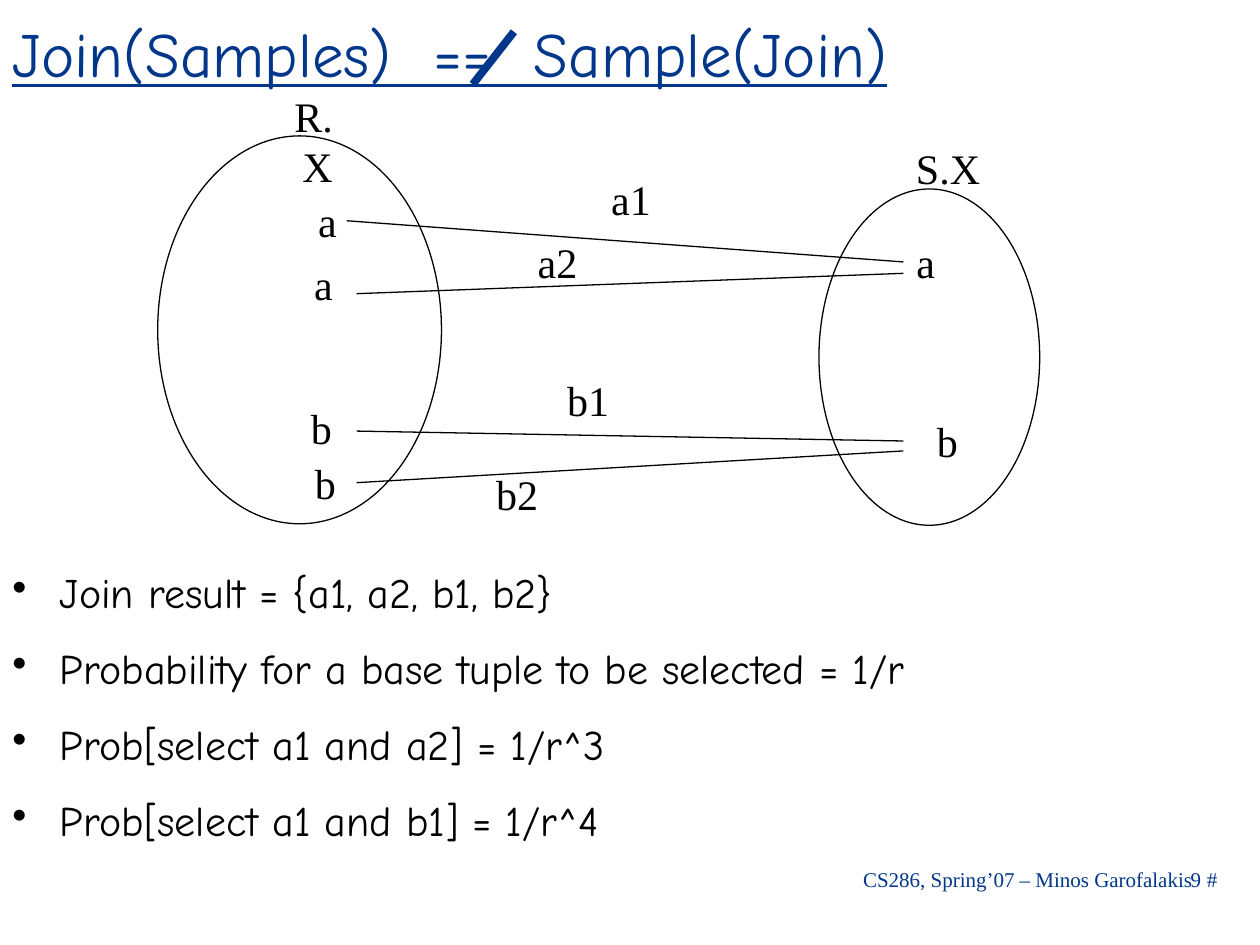
from dataclasses import dataclass

from lxml import etree
from pptx import Presentation
from pptx import util as u
from pptx.dml import color
from pptx.enum import shapes, text
from pptx.oxml import ns

HUES = {"ink": "000000", "navy": "00378A"}
SERIF = "Times New Roman"
COMIC = "Comic Neue"


@dataclass
class Box:
    words: str
    left: float
    top: float
    width: float
    height: float = 1.27
    font: str = SERIF
    size: int = 24
    hue: str = "ink"
    wrap: bool = False
    align: text.PP_ALIGN = text.PP_ALIGN.LEFT


@dataclass
class Oval:
    left: float
    top: float
    width: float
    height: float


@dataclass
class Link:
    x1: float
    y1: float
    x2: float
    y2: float
    hue: str = "ink"
    weight: float = 0.75


def tint(name: str) -> color.RGBColor:
    return color.RGBColor.from_string(HUES[name])


def draw_box(slide, box: Box):
    shape = slide.shapes.add_textbox(
        u.Cm(box.left), u.Cm(box.top), u.Cm(box.width), u.Cm(box.height))
    frame = shape.text_frame
    frame.text = box.words
    frame.word_wrap = box.wrap
    for para in frame.paragraphs:
        para.alignment = box.align
        for run in para.runs:
            run.font.name = box.font
            run.font.size = u.Pt(box.size)
            run.font.color.rgb = tint(box.hue)
    return frame


def draw_oval(slide, oval: Oval) -> None:
    shape = slide.shapes.add_shape(
        shapes.MSO_SHAPE.OVAL, u.Cm(oval.left), u.Cm(oval.top),
        u.Cm(oval.width), u.Cm(oval.height))
    shape.shadow.inherit = False
    shape.fill.background()
    shape.line.color.rgb = tint("ink")
    shape.line.width = u.Pt(0.75)


def draw_link(slide, link: Link) -> None:
    line = slide.shapes.add_connector(
        shapes.MSO_CONNECTOR.STRAIGHT, u.Cm(link.x1), u.Cm(link.y1),
        u.Cm(link.x2), u.Cm(link.y2))
    line.line.color.rgb = tint(link.hue)
    line.line.width = u.Pt(link.weight)
    etree.SubElement(line._element.spPr, ns.qn("a:effectLst"))


def add_dot(para) -> None:
    para.line_spacing = 1.3
    para.space_before = u.Pt(6)
    props = para._p.get_or_add_pPr()
    props.set("marL", str(u.Cm(0.96)))
    props.set("indent", str(u.Cm(-0.96)))
    etree.SubElement(props, ns.qn("a:buChar"), char="•")


def add_tab(para, place: float) -> None:
    tabs = etree.SubElement(para._p.get_or_add_pPr(), ns.qn("a:tabLst"))
    etree.SubElement(tabs, ns.qn("a:tab"), pos=str(u.Cm(place)), algn="l")


RIGHT = text.PP_ALIGN.RIGHT
TITLE = Box("Join(Samples)  ==  Sample(Join)", 0, 0, 20.12, 2.34,
            COMIC, 36, "navy", True)
FOOT = Box("CS286, Spring’07 – Minos Garofalakis\t#", 17.15, 17.35, 7.67, 0.76,
           size=12, hue="navy", wrap=True)
PAGE = Box("9", 23.75, 17.35, 1, 0.76, size=12, hue="navy")
POINTS = Box("\n".join([
    "Join result = {a1, a2, b1, b2}",
    "Probability for a base tuple to be selected = 1/r",
    "Prob[select a1 and a2] = 1/r^3",
    "Prob[select a1 and b1] = 1/r^4",
]), 0, 11, 25.4, 7.42, COMIC, wrap=True)
LABELS = [
    Box("R.X", 5.08, 1.7, 1.88, align=RIGHT),
    Box("a", 6.15, 3.81, 0.89, align=RIGHT),
    Box("a", 6.07, 5.08, 0.89, align=RIGHT),
    Box("b", 6.02, 7.98, 0.91, align=RIGHT),
    Box("b", 6.1, 9.09, 0.91, align=RIGHT),
    Box("S.X", 18.21, 2.74, 1.8, align=RIGHT),
    Box("a", 18.21, 4.65, 0.89, align=RIGHT),
    Box("b", 18.64, 8.26, 0.91, align=RIGHT),
    Box("a1", 12.07, 3.38, 1.3, align=RIGHT),
    Box("a2", 10.59, 4.65, 1.3, align=RIGHT),
    Box("b1", 11.18, 7.42, 1.35, align=RIGHT),
    Box("b2", 9.75, 9.32, 1.35, align=RIGHT),
]
OVALS = [Oval(3.18, 2.74, 5.72, 7.82), Oval(16.51, 3.81, 4.45, 6.78)]
LINKS = [
    Link(6.99, 4.45, 18.21, 5.28),
    Link(7.19, 5.92, 18.21, 5.51),
    Link(7.19, 8.69, 18.21, 8.89),
    Link(7.19, 9.73, 18.21, 9.09),
    Link(10.36, 0.64, 9.53, 1.7, "navy", 4.5),
]


def main() -> None:
    deck = Presentation()
    deck.slide_width = u.Cm(25.4)
    deck.slide_height = u.Cm(19.05)
    slide = deck.slides.add_slide(deck.slide_layouts[6])

    draw_box(slide, PAGE)
    foot = draw_box(slide, FOOT)
    add_tab(foot.paragraphs[0], 6.93)

    title = draw_box(slide, TITLE)
    title.vertical_anchor = text.MSO_ANCHOR.MIDDLE
    head = title.paragraphs[0]
    head.line_spacing = 0.85
    head.runs[0].font.underline = True

    for oval in OVALS:
        draw_oval(slide, oval)
    for label in LABELS:
        draw_box(slide, label)
    for link in LINKS:
        draw_link(slide, link)

    for para in draw_box(slide, POINTS).paragraphs:
        add_dot(para)

    deck.save("out.pptx")


if __name__ == "__main__":
    main()
